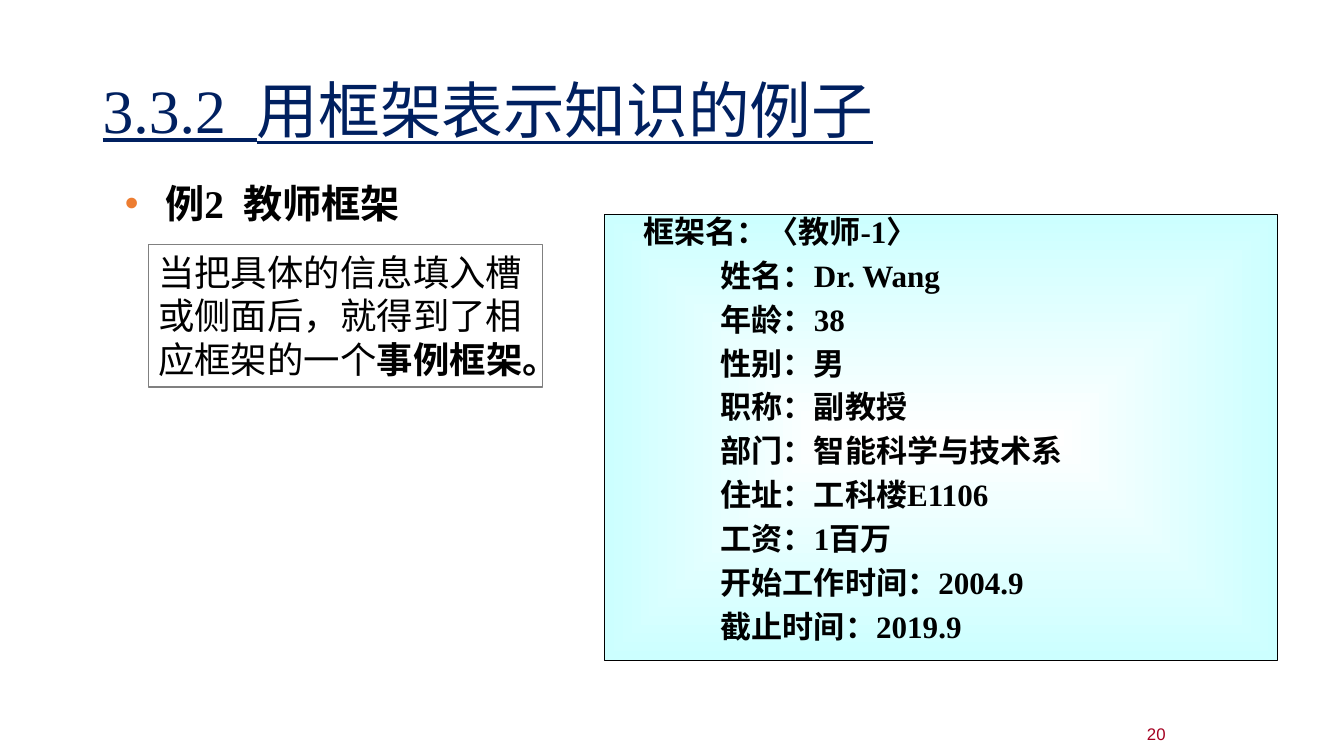
from dataclasses import dataclass

from lxml.etree import SubElement
from pptx import Presentation
from pptx.dml.color import RGBColor
from pptx.enum.shapes import MSO_SHAPE
from pptx.enum.text import MSO_ANCHOR, PP_ALIGN
from pptx.oxml.ns import qn
from pptx.util import Inches, Pt


@dataclass(frozen=True)
class Theme:
    serif: str = "Times New Roman"
    sans: str = "Arial"
    black: str = "000000"
    white: str = "FFFFFF"
    navy: str = "002060"
    orange: str = "ED7D31"
    cyan: str = "CCFFFF"
    grey: str = "808080"
    red: str = "A50021"
    title: float = 44
    heading: float = 28
    note: float = 26
    frame: float = 22.2
    number: float = 12


THEME = Theme()
FRAME_NAME = "框架名：〈教师-1〉"
SLOTS = [
    "姓名：Dr. Wang", "年龄：38", "性别：男", "职称：副教授",
    "部门：智能科学与技术系", "住址：工科楼E1106", "工资：1百万",
    "开始工作时间：2004.9", "截止时间：2019.9",
]


def color(value):
    return RGBColor.from_string(value)


def style(font, size, name, tint, bold=False):
    font.size, font.name, font.bold = Pt(size), name, bold
    font.color.rgb = color(tint)


def indent(para, left, first=0):
    props = para._p.get_or_add_pPr()
    props.set("marL", str(Inches(left)))
    props.set("indent", str(Inches(first)))
    return props


def add_text(page, box, anchor=MSO_ANCHOR.TOP):
    frame = page.shapes.add_textbox(*map(Inches, box)).text_frame
    frame.word_wrap = True
    frame.vertical_anchor = anchor
    return frame


def add_panel(page, box, outline):
    panel = page.shapes.add_shape(MSO_SHAPE.RECTANGLE, *map(Inches, box))
    panel.shadow.inherit = False
    panel.line.color.rgb = color(outline)
    panel.line.width = Pt(0.75)
    panel.text_frame.word_wrap = True
    panel.text_frame.vertical_anchor = MSO_ANCHOR.TOP
    return panel


def add_title(page, box):
    para = add_text(page, box, MSO_ANCHOR.MIDDLE).paragraphs[0]
    para.text = "3.3.2  用框架表示知识的例子"
    para.line_spacing = 0.9
    style(para.font, THEME.title, THEME.serif, THEME.navy)
    para.font.underline = True


def add_heading(page, box):
    para = add_text(page, box).paragraphs[0]
    para.line_spacing = 1.1
    props = indent(para, 0.4, -0.4)
    bullet_color = SubElement(props, qn("a:buClr"))
    SubElement(bullet_color, qn("a:srgbClr"), val=THEME.orange)
    SubElement(props, qn("a:buFont"), typeface=THEME.sans)
    SubElement(props, qn("a:buChar"), char="•")
    para.text = "例2  教师框架"
    style(para.font, THEME.heading, THEME.serif, THEME.black, bold=True)


def add_note(page, box):
    panel = add_panel(page, box, THEME.grey)
    panel.fill.solid()
    panel.fill.fore_color.rgb = color(THEME.white)
    para = panel.text_frame.paragraphs[0]
    para.alignment = PP_ALIGN.LEFT
    style(para.font, THEME.note, THEME.sans, THEME.black)
    para.add_run().text = "当把具体的信息填入槽或侧面后，就得到了相应框架的一个"
    term = para.add_run()
    term.text = "事例框架。"
    term.font.bold = True
    for span in para.runs:
        span.font.color.rgb = color(THEME.black)


def add_teacher_frame(page, box):
    panel = add_panel(page, box, THEME.black)

    # Gradient from a white centre to cyan edges
    panel.fill.gradient()
    for stop, tint in zip(panel.fill.gradient_stops, (THEME.white, THEME.cyan)):
        stop.color.rgb = color(tint)
    gradient = panel._element.spPr.find(qn("a:gradFill"))
    gradient.remove(gradient.find(qn("a:lin")))
    shading = SubElement(gradient, qn("a:path"), path="shape")
    SubElement(shading, qn("a:fillToRect"), l="50000", t="50000", r="50000", b="50000")

    # Frame name, then its slots one level in
    text = panel.text_frame
    for row, line in enumerate([FRAME_NAME, *SLOTS]):
        para = text.add_paragraph() if row else text.paragraphs[0]
        para.text = line
        para.alignment = PP_ALIGN.LEFT
        para.line_spacing = 0.8
        para.space_before = Pt(10 if row else 0)
        indent(para, 1.05 if row else 0.28)
        style(para.font, THEME.frame, THEME.serif, THEME.black, bold=True)
        para.runs[0].font.color.rgb = color(THEME.black)


def add_page_number(page, box):
    para = add_text(page, box, MSO_ANCHOR.MIDDLE).paragraphs[0]
    para.text = "20"
    para.alignment = PP_ALIGN.RIGHT
    style(para.font, THEME.number, THEME.sans, THEME.red)


def main():
    deck = Presentation()
    deck.slide_width, deck.slide_height = Inches(13.33), Inches(7.5)
    page = deck.slides.add_slide(deck.slide_layouts[6])
    add_title(page, (0.92, 0.4, 11.5, 1.45))
    add_teacher_frame(page, (6, 2.13, 6.67, 4.42))
    add_page_number(page, (9.33, 7.02, 2.33, 0.52))
    add_heading(page, (1.14, 1.68, 3.63, 0.61))
    add_note(page, (1.47, 2.43, 3.91, 1.41))
    deck.save("out.pptx")


if __name__ == "__main__":
    main()
